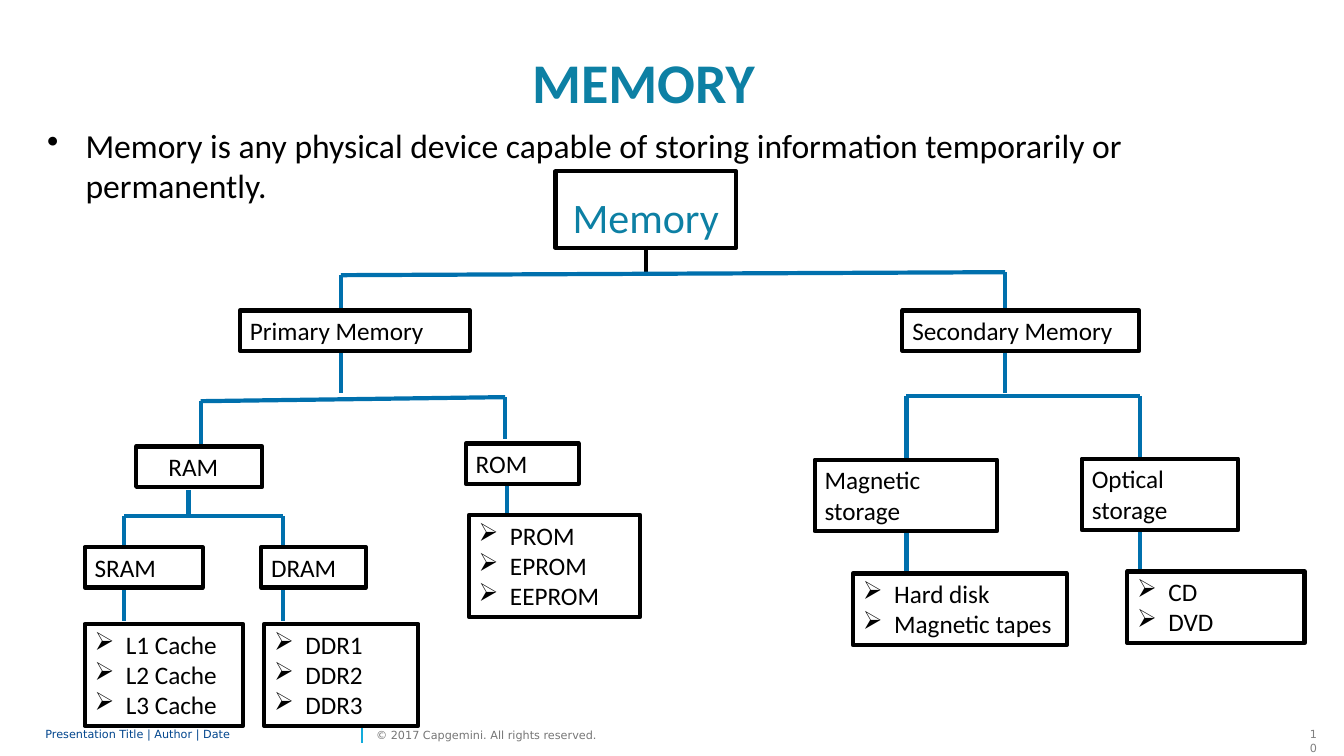
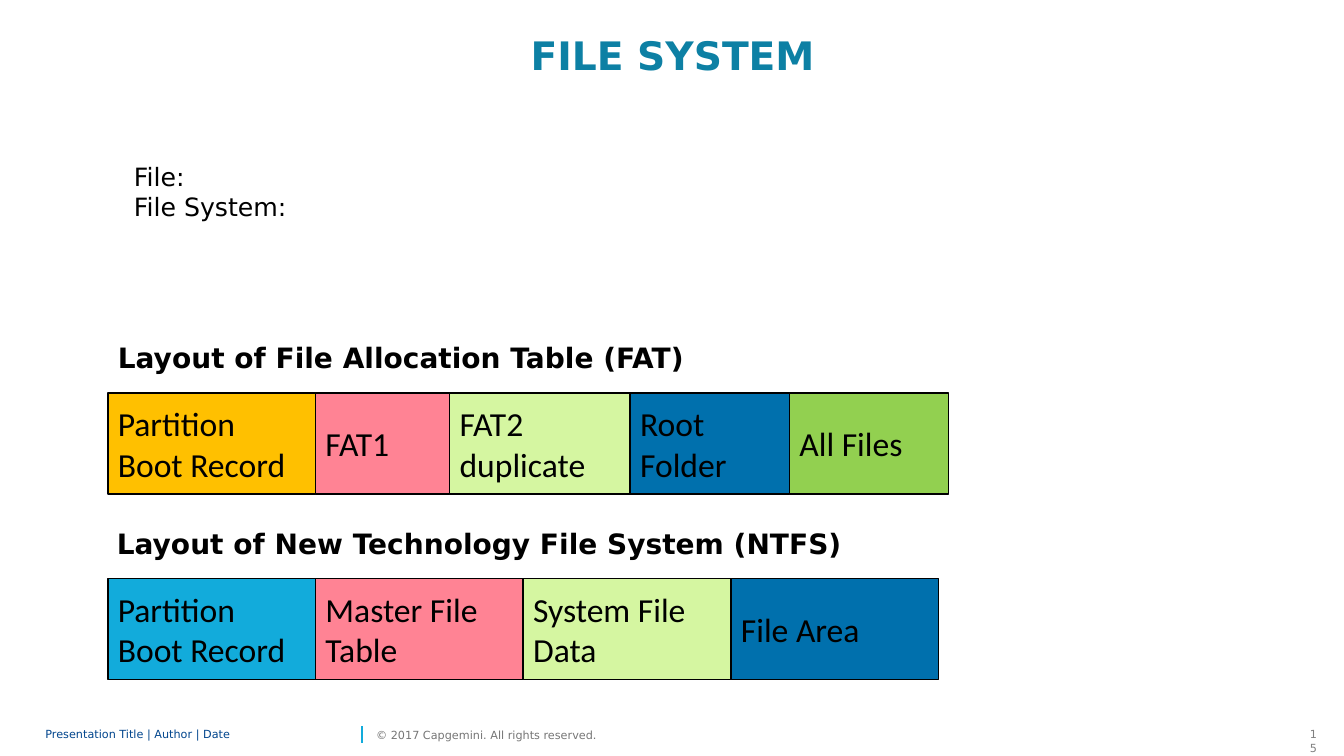
import dataclasses

import lxml.etree
import pptx
import pptx.dml.color
import pptx.enum.shapes
import pptx.enum.text
import pptx.oxml.ns
import pptx.util

PX = 9144  # EMU per px, 100 px to the inch
ALIGN = pptx.enum.text.PP_ALIGN
ANCHOR = pptx.enum.text.MSO_ANCHOR


@dataclasses.dataclass(frozen=True)
class TextStyle:
    size: int
    name: str = "Calibri"
    color: str = "000000"
    bold: bool = False


class Theme:
    # Colours
    black, heading, blue, cyan = "000000", "0D80A4", "0070AD", "12ABDB"
    amber, pink, lime, green = "FFC000", "FF8394", "D5F6A1", "92D050"
    # Type
    title = TextStyle(40, color=heading, bold=True)
    wide_title = TextStyle(28, "DejaVu Sans", heading, True)
    subtitle = TextStyle(20, "DejaVu Sans", bold=True)
    lead = TextStyle(24)
    root = TextStyle(30, color=heading)
    node = TextStyle(18)
    terms = TextStyle(18, "DejaVu Sans")
    footer = TextStyle(8, "DejaVu Sans", "00458D")
    rights = TextStyle(8, "DejaVu Sans", "767676")
    number = TextStyle(8, "DejaVu Sans", "808080")


def rgb(color):
    return pptx.dml.color.RGBColor.from_string(color)


class Deck:
    def __init__(self, width, height):
        self.prs = pptx.Presentation()
        self.prs.slide_width, self.prs.slide_height = width * PX, height * PX
        self.slide = None

    def add_slide(self, number):
        """Start a slide and give it the shared footer."""
        self.slide = self.prs.slides.add_slide(self.prs.slide_layouts[6])
        flush = {"insets": (0, 0, 0, 0), "anchor": ANCHOR.MIDDLE}
        self.text((1289, 717, 27, 24), [number], Theme.number, align=ALIGN.RIGHT)
        self.line((359, 737), (359, 720), Theme.cyan, 1)
        self.text((45, 717, 309, 24), ["Presentation Title | Author | Date"],
                  Theme.footer, spacing=0.85, **flush)
        self.text((373, 717, 243, 24), ["© 2017 Capgemini. All rights reserved."],
                  Theme.rights, **flush)

    def fill_text(self, shape, lines, style, align=ALIGN.LEFT, anchor=ANCHOR.TOP,
                  insets=(10, 5, 10, 5), spacing=None, bullet=None, indent=31):
        frame = shape.text_frame
        left, top, right, bottom = (inset * PX for inset in insets)
        frame_format = {"word_wrap": True, "vertical_anchor": anchor,
                        "margin_left": left, "margin_top": top,
                        "margin_right": right, "margin_bottom": bottom}
        for attribute, value in frame_format.items():
            setattr(frame, attribute, value)
        for index, line in enumerate(lines):
            paragraph = frame.add_paragraph() if index else frame.paragraphs[0]
            if bullet:
                self.bullet(paragraph, bullet, indent)
            paragraph.alignment = align
            paragraph.line_spacing = spacing
            run = paragraph.add_run()
            run.text = line
            font_format = {"name": style.name, "bold": style.bold,
                           "size": pptx.util.Pt(style.size)}
            for attribute, value in font_format.items():
                setattr(run.font, attribute, value)
            run.font.color.rgb = rgb(style.color)

    def bullet(self, paragraph, mark, indent):
        properties = paragraph._p.get_or_add_pPr()
        properties.set("marL", str(indent * PX))
        properties.set("indent", str(-indent * PX))
        lxml.etree.SubElement(properties, pptx.oxml.ns.qn("a:buChar"), char=mark)

    def text(self, at, lines, style, **layout):
        box = self.slide.shapes.add_textbox(*(length * PX for length in at))
        self.fill_text(box, lines, style, **layout)

    def box(self, at, lines, style, fill=None, weight=3, **layout):
        box = self.slide.shapes.add_shape(
            pptx.enum.shapes.MSO_SHAPE.RECTANGLE, *(length * PX for length in at))
        box.shadow.inherit = False
        if fill:
            box.fill.solid()
            box.fill.fore_color.rgb = rgb(fill)
        else:
            box.fill.background()
        box.line.color.rgb = rgb(Theme.black)
        box.line.width = pptx.util.Pt(weight)
        self.fill_text(box, lines, style, **layout)

    def line(self, start, end, color=Theme.blue, weight=3):
        line = self.slide.shapes.add_connector(
            pptx.enum.shapes.MSO_CONNECTOR.STRAIGHT,
            *(length * PX for length in start + end))
        line.line.color.rgb = rgb(color)
        line.line.width = pptx.util.Pt(weight)
        lxml.etree.SubElement(line._element.spPr, pptx.oxml.ns.qn("a:effectLst"))

    def node(self, left, top, width, lines, rows=None, **layout):
        """A tree box, as tall as its rows of text."""
        height = round(10 + 30.4 * (rows or len(lines)))
        self.box((left, top, width, height), lines, Theme.node, **layout)

    def fork(self, stem, branches=(), color=Theme.blue):
        """A stem (x, top, bottom) and branches (x, bar, bottom) under one bar."""
        x, top, bottom = stem
        self.line((x, top), (x, bottom), color)
        for x, bar, bottom in branches:
            self.line((x, bar), (x, bottom))
        if branches:
            first, last = branches[0], branches[-1]
            self.line(first[:2], last[:2])

    def strip(self, left, top, segments):
        """Filled boxes side by side, each (label, width, fill)."""
        for label, width, fill in segments:
            self.box((left, top, width, 100), [label], Theme.lead, fill, 1,
                     anchor=ANCHOR.MIDDLE)
            left += width


def memory_slide(deck):
    deck.add_slide("10")
    deck.text((37, 119, 1217, 91),
              ["Memory is any physical device capable of storing information "
               "temporarily or permanently."],
              Theme.lead, bullet="•", indent=38)
    deck.text((518, 42, 243, 77), ["MEMORY"], Theme.title)

    # Root of the tree
    deck.box((551, 170, 179, 76), ["Memory"], Theme.root, align=ALIGN.CENTER,
             insets=(0, 39, 0, 0), spacing=pptx.util.Pt(22))

    # Connecting lines
    deck.fork((641, 244, 272), [(338, 273, 308), (997, 270, 308)], Theme.black)
    deck.fork((338, 350, 390), [(199, 398, 440), (501, 394, 436)])
    deck.fork((997, 348, 390), [(899, 393, 456), (1131, 393, 456)])
    deck.fork((187, 486, 512), [(123, 512, 541), (281, 512, 541)])
    for stem in [(503, 480, 509), (899, 525, 567), (1131, 526, 566),
                 (123, 583, 616), (281, 583, 616)]:
        deck.fork(stem)

    # Kinds of memory
    deck.node(135, 443, 125, ["RAM"], insets=(32, 5, 10, 5))
    for left, top, width, kind, rows in [
            (238, 308, 228, "Primary Memory", 1),
            (895, 308, 235, "Secondary Memory", 1),
            (462, 440, 112, "ROM", 1),
            (84, 543, 117, "SRAM", 1),
            (259, 543, 104, "DRAM", 1),
            (808, 456, 181, "Magnetic storage", 2),
            (1073, 455, 155, "Optical storage", 2)]:
        deck.node(left, top, width, [kind], rows)

    # Examples of each kind
    for left, top, width, examples in [
            (465, 511, 170, ["PROM", "EPROM", "EEPROM"]),
            (846, 569, 212, ["Hard disk", "Magnetic tapes"]),
            (1118, 567, 176, ["CD", "DVD"]),
            (84, 619, 157, ["L1 Cache", "L2 Cache", "L3 Cache"]),
            (262, 619, 153, ["DDR1", "DDR2", "DDR3"])]:
        deck.node(left, top, width, examples, bullet="➢")


def file_system_slide(deck):
    deck.add_slide("15")
    deck.text((433, 31, 468, 62), ["FILE SYSTEM"], Theme.wide_title,
              align=ALIGN.CENTER, spacing=0.9)
    deck.text((123, 155, 179, 71), ["File:", "File System:"], Theme.terms)

    # FAT layout
    deck.text((107, 333, 612, 44), ["Layout of File Allocation Table (FAT)"],
              Theme.subtitle)
    deck.strip(107, 390, [("Partition Boot Record", 206, Theme.amber),
                          ("FAT1", 133, Theme.pink),
                          ("FAT2 duplicate", 179, Theme.lime),
                          ("Root Folder", 158, Theme.blue),
                          ("All Files", 158, Theme.green)])

    # NTFS layout
    deck.text((106, 517, 771, 44), ["Layout of New Technology File System (NTFS)"],
              Theme.subtitle)
    deck.strip(107, 574, [("Partition Boot Record", 206, Theme.cyan),
                          ("Master File Table", 206, Theme.pink),
                          ("System File Data", 206, Theme.lime),
                          ("File Area", 206, Theme.blue)])


def main():
    deck = Deck(1333, 750)
    memory_slide(deck)
    file_system_slide(deck)
    deck.prs.save("out.pptx")


if __name__ == "__main__":
    main()
